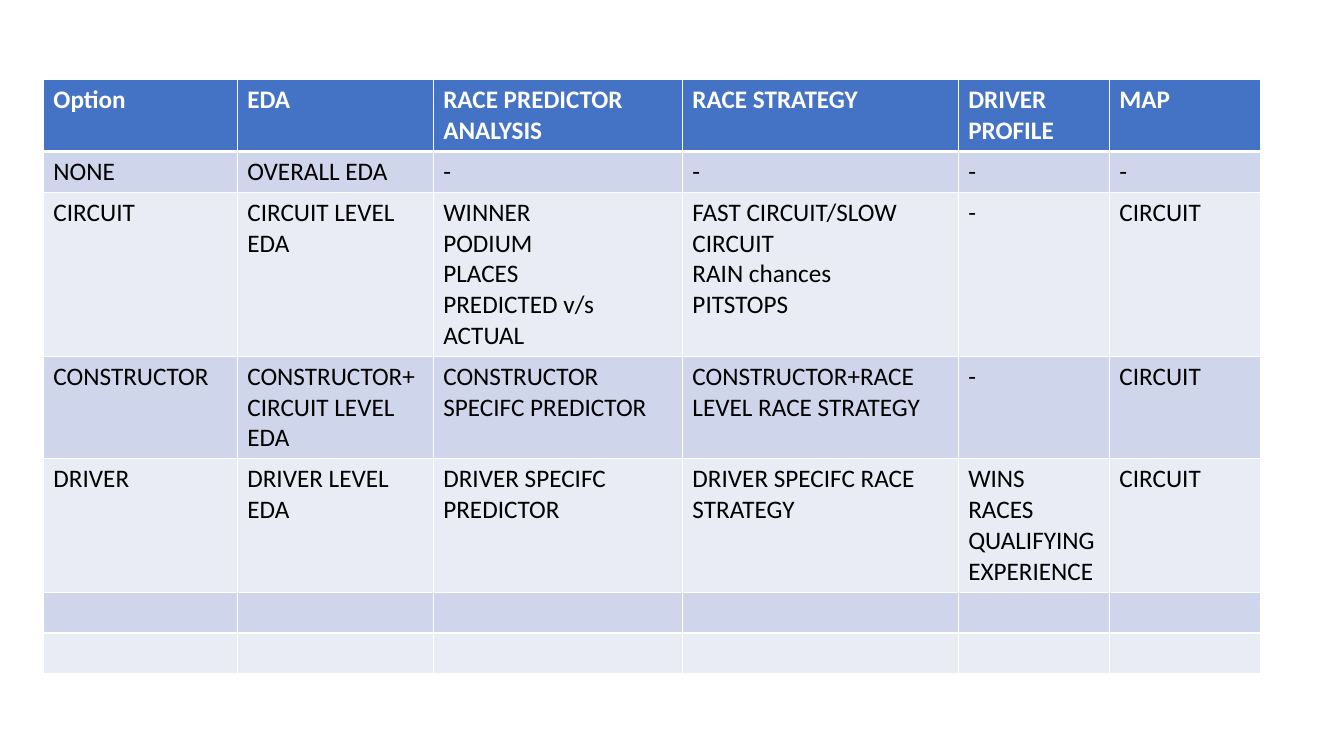
import pptx
import pptx.dml.color
import pptx.oxml.ns
import pptx.util
from lxml import etree

Pt = pptx.util.Pt

# Content: each cell lists its paragraphs; "\n" is a line break
HEADER = ["Option", "EDA", "RACE PREDICTOR ANALYSIS", "RACE STRATEGY",
          "DRIVER PROFILE", "MAP"]
OPTIONS = [
    [["NONE"], ["OVERALL EDA"], ["-"], ["-"], ["-"], ["-"]],
    [["CIRCUIT"], ["CIRCUIT LEVEL EDA"],
     ["WINNER", "PODIUM\nPLACES", "PREDICTED v/s ACTUAL"],
     ["FAST CIRCUIT/SLOW CIRCUIT", "RAIN chances", "PITSTOPS"],
     ["-"], ["CIRCUIT"]],
    [["CONSTRUCTOR"], ["CONSTRUCTOR+CIRCUIT LEVEL EDA"],
     ["CONSTRUCTOR SPECIFC PREDICTOR"],
     ["CONSTRUCTOR+RACE LEVEL RACE STRATEGY"], ["-"], ["CIRCUIT"]],
    [["DRIVER"], ["DRIVER LEVEL EDA"], ["DRIVER SPECIFC PREDICTOR"],
     ["DRIVER SPECIFC RACE STRATEGY"],
     ["WINS", "RACES", "QUALIFYING", "EXPERIENCE"], ["CIRCUIT"]],
]
SPARE_ROWS = 2
ROWS = ([[[name] for name in HEADER]] + OPTIONS
        + [[[] for name in HEADER] for spare in range(SPARE_ROWS)])

THEME = {
    "font": "Calibri", "size": 18,
    "header_fill": "4472C4", "header_text": "FFFFFF",
    "bands": ["CFD5EA", "E9EBF5"], "text": "000000",
    "border": "FFFFFF", "thin": 1, "thick": 3,
}

# Geometry in points; a row is as tall as its longest wrapped cell
SLIDE_SIZE = (960, 540)
LEFT, TOP = 31, 57
COLUMN_WIDTHS = [138.5, 140, 178, 197, 108, 108]
LINES_PER_ROW = [2, 1, 5, 3, 4, 1, 1]
LINE_HEIGHT, ROW_PADDING = 22, 7.2
ROW_HEIGHTS = [lines * LINE_HEIGHT + ROW_PADDING for lines in LINES_PER_ROW]


def rgb(value):
    return pptx.dml.color.RGBColor.from_string(value)


def set_border(cell, side, width):
    properties = cell._tc.get_or_add_tcPr()
    line = etree.SubElement(properties, pptx.oxml.ns.qn("a:" + side),
                            w=str(int(Pt(width))))
    fill = etree.SubElement(line, pptx.oxml.ns.qn("a:solidFill"))
    etree.SubElement(fill, pptx.oxml.ns.qn("a:srgbClr"), val=THEME["border"])


def write_cell(cell, paragraphs, color, bold):
    frame = cell.text_frame
    for index, text in enumerate(paragraphs):
        para = frame.add_paragraph() if index else frame.paragraphs[0]
        for number, part in enumerate(text.split("\n")):
            if number:
                para.add_line_break()
            span = para.add_run()
            span.text = part
            span.font.name = THEME["font"]
            span.font.size = Pt(THEME["size"])
            span.font.bold = bold
            span.font.color.rgb = rgb(color)


def main():
    deck = pptx.Presentation()
    deck.slide_width, deck.slide_height = map(Pt, SLIDE_SIZE)
    page = deck.slides.add_slide(deck.slide_layouts[6])

    # Table grid
    table = page.shapes.add_table(
        len(ROWS), len(HEADER), Pt(LEFT), Pt(TOP),
        Pt(sum(COLUMN_WIDTHS)), Pt(sum(ROW_HEIGHTS))).table
    for column, width in zip(table.columns, COLUMN_WIDTHS):
        column.width = Pt(width)
    for row, height in zip(table.rows, ROW_HEIGHTS):
        row.height = Pt(height)

    # Cells: header row, then alternating bands
    for r, row in enumerate(ROWS):
        is_header = r == 0
        fill = THEME["header_fill"] if is_header else THEME["bands"][(r - 1) % 2]
        color = THEME["header_text"] if is_header else THEME["text"]
        widths = {"lnL": THEME["thin"], "lnR": THEME["thin"],
                  "lnT": THEME["thick" if r == 1 else "thin"],
                  "lnB": THEME["thick" if is_header else "thin"]}
        for c, paragraphs in enumerate(row):
            cell = table.cell(r, c)
            for side, width in widths.items():
                set_border(cell, side, width)
            cell.fill.solid()
            cell.fill.fore_color.rgb = rgb(fill)
            write_cell(cell, paragraphs, color, is_header)

    deck.save("out.pptx")


if __name__ == "__main__":
    main()
